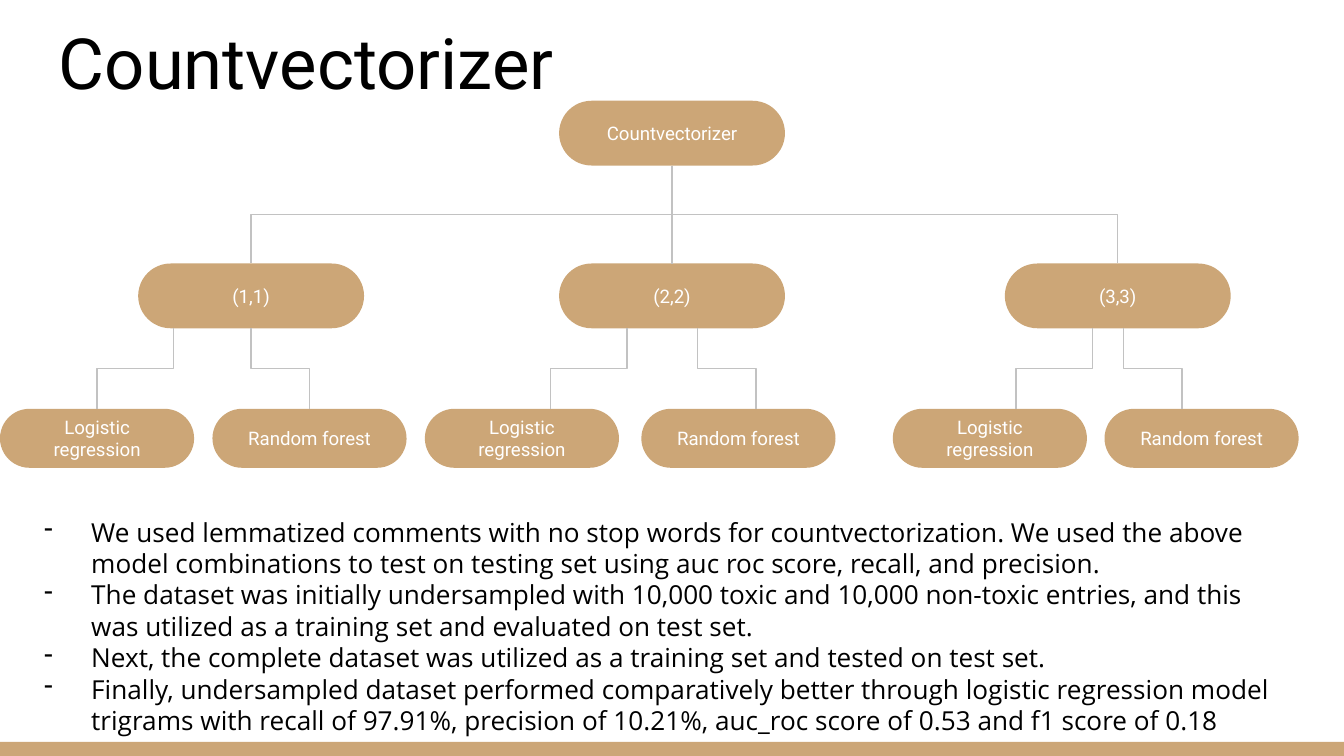
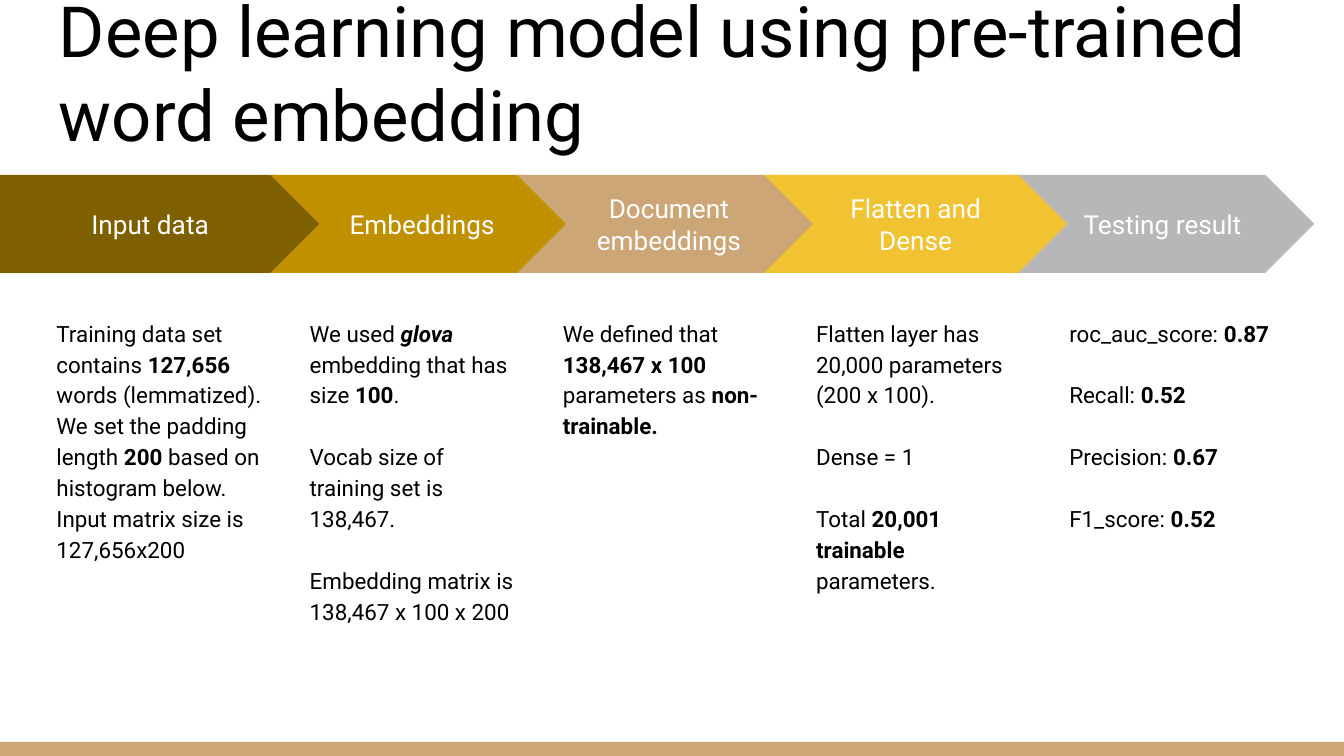
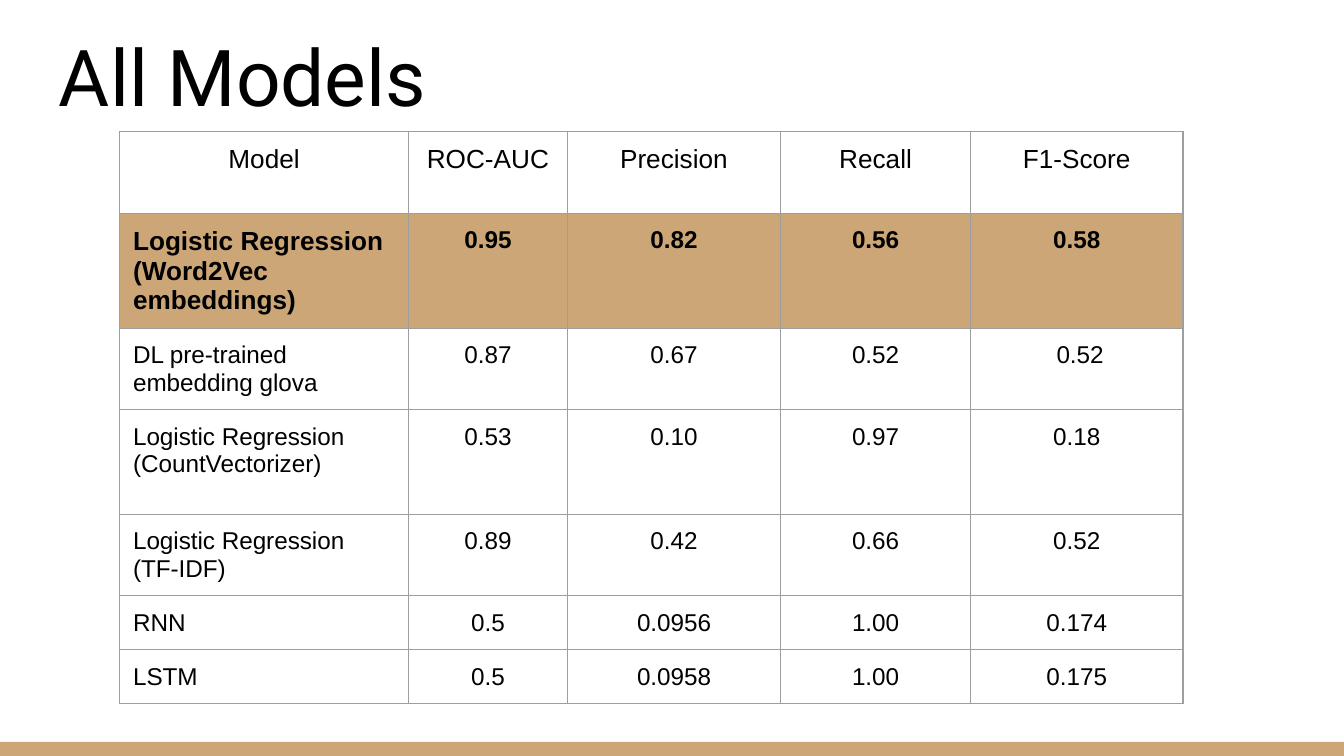
from pptx import Presentation
from pptx.dml.color import RGBColor
from pptx.enum.shapes import MSO_CONNECTOR, MSO_SHAPE
from pptx.enum.text import MSO_ANCHOR, MSO_AUTO_SIZE, PP_ALIGN
from pptx.oxml.ns import qn
from pptx.util import Pt
from lxml.etree import SubElement

TAN, GRAY, BORDER = "CCA677", "C2C2C2", "9E9E9E"
BLACK, WHITE = "000000", "FFFFFF"


def rgb(color):
    return RGBColor.from_string(color)


class Deck:
    def __init__(self):
        self.prs = Presentation()
        self.prs.slide_width, self.prs.slide_height = Pt(720), Pt(405)

    def slide(self, title, top, height, size=37.8):
        self.s = self.prs.slides.add_slide(self.prs.slide_layouts[6])
        self.shape(MSO_SHAPE.RECTANGLE, 0, 397.5, 720, 7.5, TAN)
        self.text(24.5, top, 671, height, [title], size, anchor=MSO_ANCHOR.BOTTOM)

    def font(self, p, size, color=BLACK, name="Roboto", bold=None):
        p.font.size, p.font.name, p.font.bold = Pt(size), name, bold
        p.font.color.rgb = rgb(color)

    def frame(self, tf, anchor):
        tf.word_wrap, tf.auto_size = True, MSO_AUTO_SIZE.NONE
        tf.vertical_anchor = anchor
        tf.margin_left = tf.margin_right = tf.margin_top = tf.margin_bottom = Pt(7.2)

    def shape(self, kind, x, y, w, h, fill, label=None, size=10):
        sp = self.s.shapes.add_shape(kind, Pt(x), Pt(y), Pt(w), Pt(h))
        sp.shadow.inherit = False
        sp.fill.solid()
        sp.fill.fore_color.rgb = rgb(fill)
        sp.line.fill.background()
        if label:
            self.frame(sp.text_frame, MSO_ANCHOR.MIDDLE)
            p = sp.text_frame.paragraphs[0]
            p.text, p.alignment = label, PP_ALIGN.CENTER
            self.font(p, size, WHITE)
        return sp

    def pill(self, x, y, w, h, label):
        sp = self.shape(MSO_SHAPE.ROUNDED_RECTANGLE, x, y, w, h, TAN, label)
        sp.adjustments[0] = 0.5
        return sp

    def text(self, x, y, w, h, lines, size, name="Roboto", anchor=MSO_ANCHOR.TOP,
             spacing=None, bullet=None, italic=None):
        tf = self.s.shapes.add_textbox(Pt(x), Pt(y), Pt(w), Pt(h)).text_frame
        self.frame(tf, anchor)
        for i, line in enumerate(lines):
            p = tf.add_paragraph() if i else tf.paragraphs[0]
            if line.startswith("\n"):
                p.space_before = Pt(16.5)
            if spacing:
                p.line_spacing = spacing
            self.font(p, size, name=name)
            for j, part in enumerate(line.strip("\n").split("*")):
                if part:
                    r = p.add_run()
                    r.text = part
                    if j % 2:
                        r.font.bold = True
                    if part == italic:
                        r.font.italic = True
            if bullet:
                pPr = p._p.get_or_add_pPr()
                pPr.set("marL", str(Pt(36)))
                pPr.set("indent", str(Pt(-25.2)))
                bu = pPr.makeelement(qn("a:buChar"), {"char": bullet})
                pPr.find(qn("a:defRPr")).addprevious(bu)

    def line(self, kind, x1, y1, x2, y2):
        c = self.s.shapes.add_connector(kind, Pt(x1), Pt(y1), Pt(x2), Pt(y2))
        c.line.color.rgb, c.line.width = rgb(GRAY), Pt(0.75)
        SubElement(c._element.spPr, qn("a:effectLst"))
        return c

    def elbow(self, x1, y1, x2, y2):
        cx, cy, dx, dy = (x1 + x2) / 2, (y1 + y2) / 2, x2 - x1, y2 - y1
        c = self.line(MSO_CONNECTOR.ELBOW, cx - dy / 2, cy + dx / 2, cx + dy / 2, cy - dx / 2)
        c._element.spPr.find(qn("a:xfrm")).set("rot", "5400000")

    def table(self, x, y, widths, heights, rows, marked):
        tbl = self.s.shapes.add_table(len(rows), len(widths), Pt(x), Pt(y),
                                      Pt(sum(widths)), Pt(sum(heights))).table
        tbl.first_row = tbl.horz_banding = False
        for col, w in zip(tbl.columns, widths):
            col.width = Pt(w)
        for i, (row, h) in enumerate(zip(rows, heights)):
            tbl.rows[i].height = Pt(h)
            for j, value in enumerate(row):
                self.cell(tbl.cell(i, j), value, 14 if i == 0 or (i == marked and j == 0) else 13,
                          i == 0 or j > 0, i == marked)

    def cell(self, cell, value, size, centered, marked):
        cell.margin_left = cell.margin_right = cell.margin_top = cell.margin_bottom = Pt(7.2)
        cell.text_frame.text = value
        for p in cell.text_frame.paragraphs:
            p.alignment = PP_ALIGN.CENTER if centered else PP_ALIGN.LEFT
            self.font(p, size, name="Arial", bold=marked)
        if marked:
            cell.fill.solid()
            cell.fill.fore_color.rgb = rgb(TAN)
        else:
            cell.fill.background()
        tcPr = cell._tc.get_or_add_tcPr()
        for i, side in enumerate("LRTB"):
            ln = tcPr.makeelement(qn("a:ln" + side), {"w": str(Pt(0.75))})
            SubElement(SubElement(ln, qn("a:solidFill")), qn("a:srgbClr")).set("val", BORDER)
            tcPr.insert(i, ln)


def countvectorizer(d):
    d.slide("Countvectorizer", 17.3, 45.4)
    d.text(5.8, 269.3, 690, 133, [
        "We used lemmatized comments with no stop words for countvectorization. We used the above "
        "model combinations to test on testing set using auc roc score, recall, and precision.",
        "The dataset was initially undersampled with 10,000 toxic and 10,000 non-toxic entries, "
        "and this was utilized as a training set and evaluated on test set.",
        "Next, the complete dataset was utilized as a training set and tested on test set.",
        "Finally, undersampled dataset performed comparatively better through logistic regression "
        "model trigrams with recall of 97.91%, precision of 10.21%, auc_roc score of 0.53 and "
        "f1 score of 0.18",
    ], 14, "Open Sans", bullet="-")
    w, h, root_y, branch_y, leaf_y = 121, 34.7, 54, 141.2, 219
    root = d.pill(299.5, root_y, w, h, "Countvectorizer")
    branches = [
        ("(1,1)", 74, (0, 113.8), (93, 134.5)),
        ("(2,2)", 299.5, (227.6, 343.6), (336, 373.7)),
        ("(3,3)", 538.3, (478.3, 591.7), (585.3, 601.9)),
    ]
    for label, x, leaves, starts in branches:
        branch = d.pill(x, branch_y, w, h, label)
        if x == 299.5:
            c = d.line(MSO_CONNECTOR.STRAIGHT, 360, root_y + h, 360, branch_y)
            c.begin_connect(root, 2)
            c.end_connect(branch, 0)
        else:
            d.elbow(360, root_y + h, x + w / 2, branch_y)
        models = zip(("Logistic regression", "Random forest"), leaves, starts, (-41, 31.2))
        for model, leaf_x, start, shift in models:
            d.pill(leaf_x, leaf_y, 104, 31.6, model)
            d.elbow(start, branch_y + h, start + shift, leaf_y)


def deep_learning(d):
    d.slide("Deep learning model using pre-trained word embedding", 25.2, 65.5)
    steps = [
        (0, "Input data", "7F6000", [
            "Training data set contains *127,656* words (lemmatized). We set the padding length "
            "*200 *based on histogram below.",
            "Input matrix size is", "127,656x200"]),
        (1, "Embeddings", "BF9000", [
            "We used *glova* embedding that has size *100*.",
            "\nVocab size of training set is 138,467.",
            "\nEmbedding matrix is", "138,467 x 100 x 200"]),
        (2, "Document embeddings", TAN, [
            "We defined that *138,467 x 100 *parameters as *non-trainable.*"]),
        (4, "Testing result", "B7B7B7", [
            "roc_auc_score: *0.87*", "\nRecall: *0.52*", "\nPrecision: *0.67*",
            "\nF1_score: *0.52*"]),
        (3, "Flatten and Dense", "F1C232", [
            "Flatten layer has 20,000 parameters (200 x 100).", "\nDense = 1",
            "\nTotal *20,001 trainable* parameters."]),
    ]
    for i, label, color, lines in steps:
        if i == 0:
            d.shape(MSO_SHAPE.PENTAGON, 0, 93.7, 174, 52.5, color, label, 14)
        else:
            d.shape(MSO_SHAPE.CHEVRON, 144.9 + 132.2 * (i - 1), 93.7, 162.5, 52.5, color, label, 14)
        d.text(23.2 + 135.65 * i, 162, 128, 185, lines, 12, spacing=1.15, italic="glova")


def all_models(d):
    d.slide("All Models", 7.2, 65.5, 42)
    d.table(64.1, 70.5, [154.8, 85, 114.4, 101.6, 113.9], [43.9, 59.8, 41.8, 56.2, 41.8, 27.4, 27.4], [
        ("Model", "ROC-AUC", "Precision", "Recall", "F1-Score"),
        ("Logistic Regression\n(Word2Vec embeddings)", "0.95", "0.82", "0.56", "0.58"),
        ("DL pre-trained embedding glova", "0.87", "0.67", "0.52", " 0.52"),
        ("Logistic Regression\n(CountVectorizer)", "0.53", "0.10", "0.97", "0.18"),
        ("Logistic Regression (TF-IDF)", "0.89", "0.42", "0.66", "0.52"),
        ("RNN", "0.5", "0.0956", "1.00", "0.174"),
        ("LSTM", "0.5", "0.0958", "1.00", "0.175"),
    ], marked=1)


def main():
    d = Deck()
    countvectorizer(d)
    deep_learning(d)
    all_models(d)
    d.prs.save("out.pptx")


if __name__ == "__main__":
    main()
